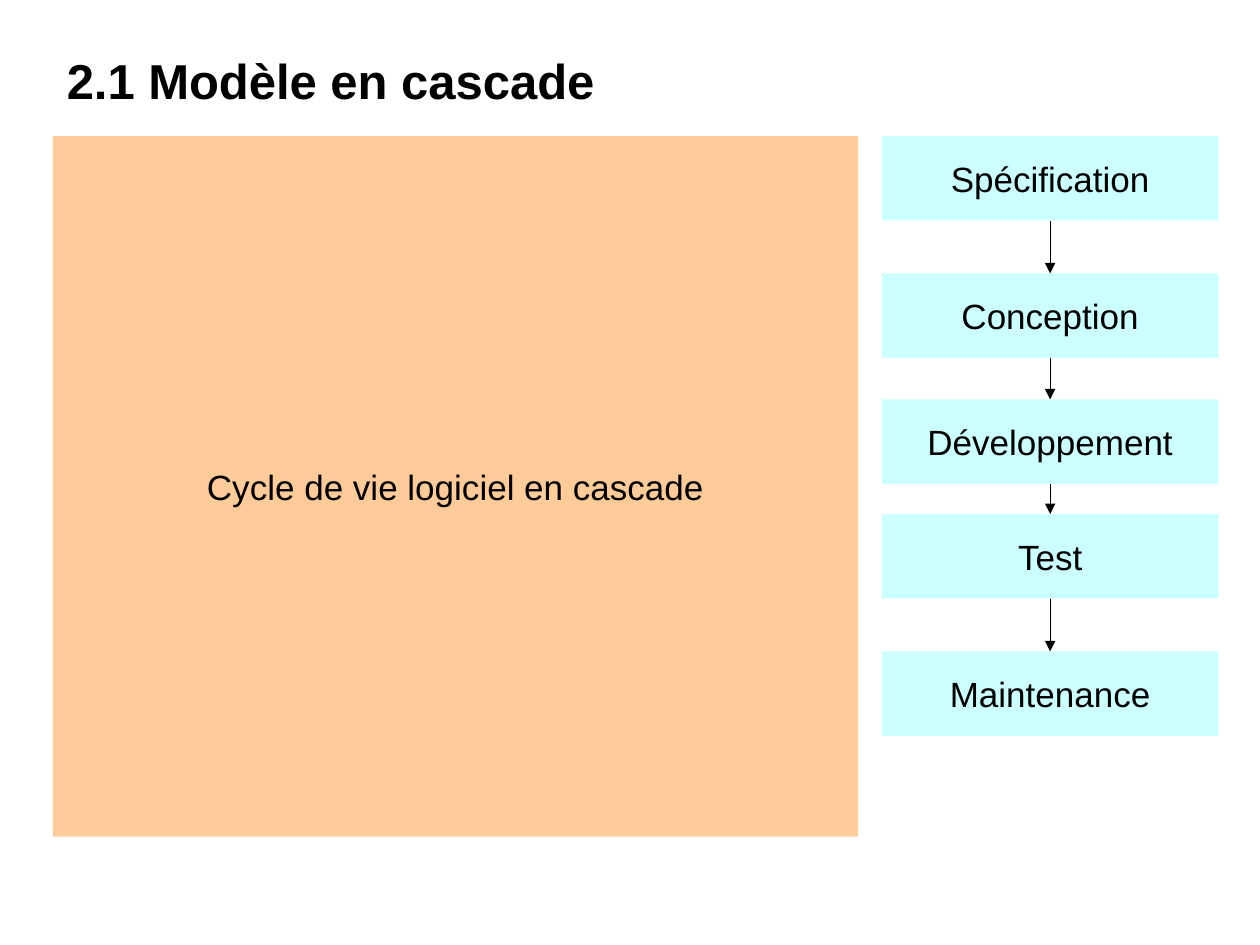
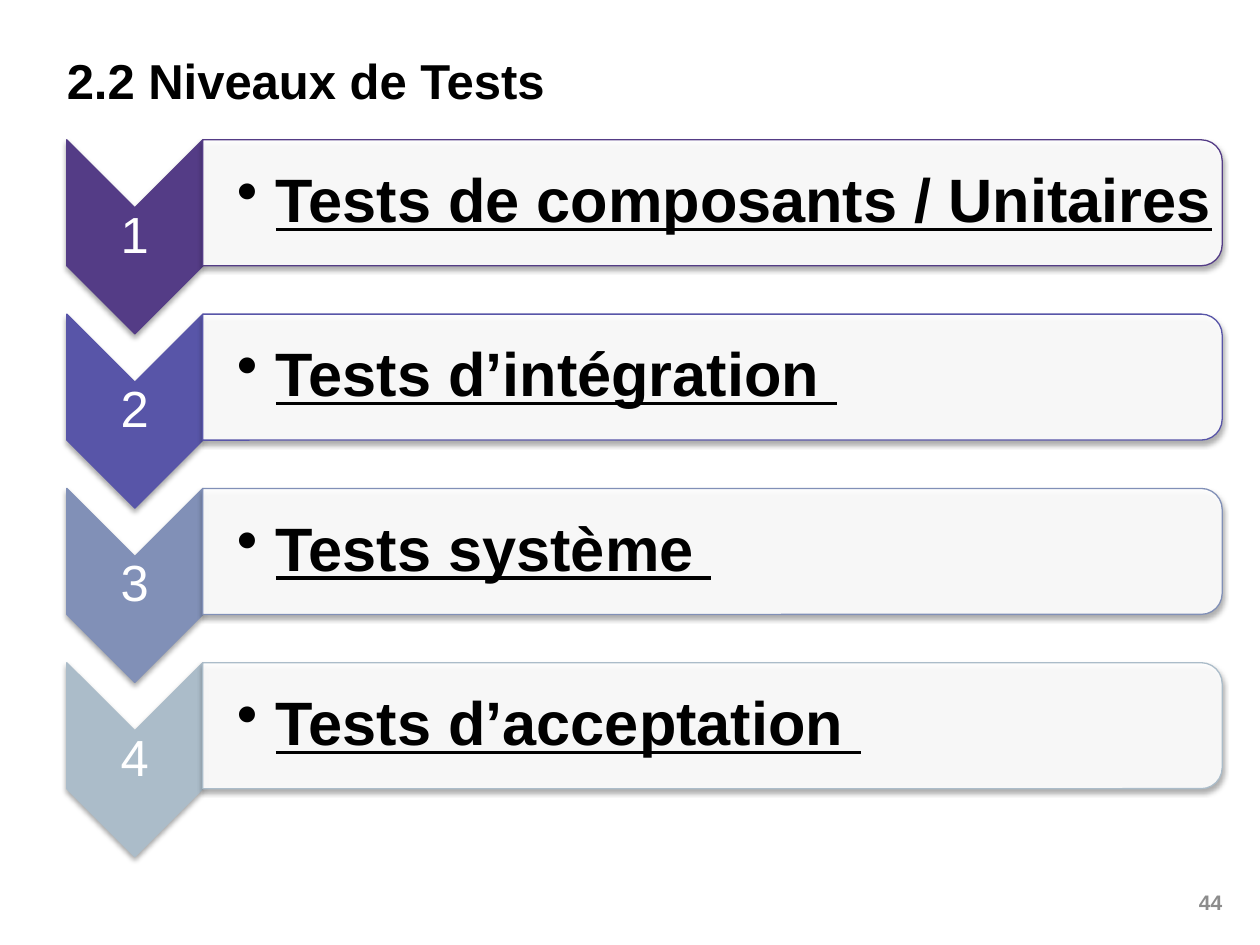
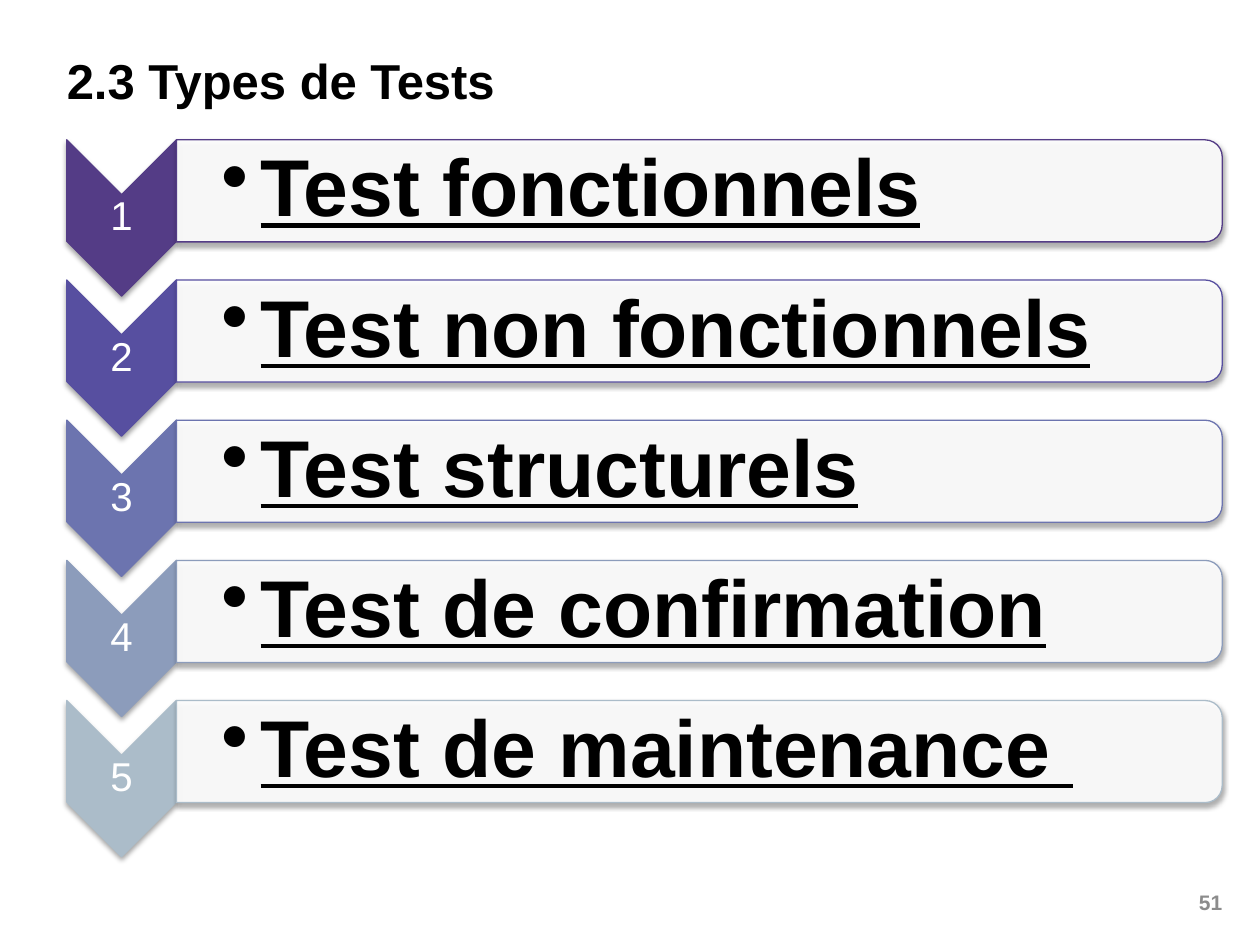
from lxml.etree import SubElement
from pptx import Presentation
from pptx.dml.color import RGBColor
from pptx.enum.shapes import MSO_CONNECTOR as Connector, MSO_SHAPE as Preset
from pptx.enum.text import MSO_ANCHOR as Anchor, PP_ALIGN as Align
from pptx.oxml.ns import qn
from pptx.util import Inches, Pt

FONT = "Arial"
TITLE_ONLY = 5
COLORS = {
    "black": "000000",
    "white": "FFFFFF",
    "gray": "8C8C8C",
    "step": "CCFFFF",
    "cycle": "FFCC99",
    "plum": "543C86",
    "violet": "5855A8",
    "indigo": "574FA0",
    "periwinkle": "6C74AF",
    "steel": "8190B7",
    "slate": "8C9CBB",
    "mist": "ABBCC9",
}

STEP_LEFT, STEP_WIDTH, STEP_HEIGHT = 7, 2.67, 0.67
STEPS = [
    ("Spécification", 1.08),
    ("Conception", 2.17),
    ("Développement", 3.17),
    ("Test", 4.08),
    ("Maintenance", 5.17),
]

LIST_LEFT, LIST_TOP, LIST_RIGHT, LIST_BOTTOM = 0.53, 1.11, 9.7, 6.8
LEVELS = [
    ("Tests de composants / Unitaires", "plum"),
    ("Tests d’intégration ", "violet"),
    ("Tests système ", "steel"),
    ("Tests d’acceptation ", "mist"),
]
TYPES = [
    ("Test fonctionnels", "plum"),
    ("Test non fonctionnels", "indigo"),
    ("Test structurels", "periwinkle"),
    ("Test de confirmation", "slate"),
    ("Test de maintenance ", "mist"),
]


def rgb(name):
    return RGBColor.from_string(COLORS[name])


def write(shape, text, size, color="black", align=Align.LEFT, anchor=Anchor.MIDDLE,
          bold=False, underline=False, spacing=0.9, margin=0):
    frame = shape.text_frame
    frame.text = text
    frame.word_wrap = True
    frame.vertical_anchor = anchor
    frame.margin_left = frame.margin_right = Inches(margin)
    frame.margin_top = frame.margin_bottom = Inches(margin)
    paragraph = frame.paragraphs[0]
    paragraph.alignment = align
    paragraph.line_spacing = spacing
    font = paragraph.runs[0].font
    font.name = FONT
    font.size = Pt(size)
    font.bold = bold
    font.underline = underline
    font.color.rgb = rgb(color)
    return frame


def add_text(slide, left, top, width, height, text, size, **style):
    box = slide.shapes.add_textbox(Inches(left), Inches(top), Inches(width), Inches(height))
    return write(box, text, size, **style)


def add_titled_slide(deck, heading):
    slide = deck.slides.add_slide(deck.slide_layouts[TITLE_ONLY])
    title = slide.shapes.title
    title.left, title.top = Inches(0.53), Inches(0.37)
    title.width, title.height = Inches(9.17), Inches(0.59)
    write(title, heading, 28, bold=True)
    return slide


def add_page_number(slide, number):
    add_text(slide, 9.31, 7.06, 0.39, 0.2, str(number), 12, color="gray",
             align=Align.RIGHT, anchor=Anchor.TOP, bold=True, spacing=1.0)


def add_block(slide, left, top, width, height, text, color):
    block = slide.shapes.add_shape(
        Preset.RECTANGLE, Inches(left), Inches(top), Inches(width), Inches(height))
    block.shadow.inherit = False
    block.fill.solid()
    block.fill.fore_color.rgb = rgb(color)
    block.line.fill.background()
    write(block, text, 20, align=Align.CENTER, spacing=1.0)


def add_down_arrow(slide, x, start, end):
    arrow = slide.shapes.add_connector(
        Connector.STRAIGHT, Inches(x), Inches(start), Inches(x), Inches(end))
    arrow.line.color.rgb = rgb("black")
    arrow.line.width = Pt(0.75)
    SubElement(arrow.line._get_or_add_ln(), qn("a:tailEnd"), type="triangle")
    SubElement(arrow._element.spPr, qn("a:effectLst"))


def add_upright(slide, preset, left, top, width, height, fill, line):
    turned_left = left + (width - height) / 2
    turned_top = top + (height - width) / 2
    shape = slide.shapes.add_shape(
        preset, Inches(turned_left), Inches(turned_top), Inches(height), Inches(width))
    shape.rotation = 90
    shape.fill.solid()
    shape.fill.fore_color.rgb = rgb(fill)
    shape.line.color.rgb = rgb(line)
    shape.line.width = Pt(0.75)
    add_soft_shadow(shape)
    return shape


def add_soft_shadow(shape):
    shape.shadow.inherit = False
    effects = shape._element.spPr.find(qn("a:effectLst"))
    shadow = SubElement(effects, qn("a:outerShdw"), blurRad=str(Pt(3.1)),
                        dist=str(Pt(1.8)), dir="5400000", rotWithShape="0")
    tint = SubElement(shadow, qn("a:srgbClr"), val=COLORS["black"])
    SubElement(tint, qn("a:alpha"), val="35000")


def set_opacity(shape, percent):
    tint = shape._element.spPr.find(qn("a:solidFill")).find(qn("a:srgbClr"))
    SubElement(tint, qn("a:alpha"), val=str(percent * 1000))


def add_bullet(paragraph, indent):
    properties = paragraph._p.get_or_add_pPr()
    properties.set("marL", str(Inches(indent)))
    properties.set("indent", str(-Inches(indent)))
    SubElement(properties, qn("a:buChar"), char="•")


def add_chevron_list(slide, items, chevron_width, chevron_height, bar_height,
                     number_size, label_size, label_margin):
    pitch = (LIST_BOTTOM - LIST_TOP - chevron_height) / (len(items) - 1)
    bar_left = LIST_LEFT + chevron_width
    bar_width = LIST_RIGHT - bar_left
    for index, (label, color) in enumerate(items):
        top = LIST_TOP + index * pitch
        add_upright(slide, Preset.CHEVRON, LIST_LEFT, top,
                    chevron_width, chevron_height, color, color)
        add_text(slide, LIST_LEFT, top + chevron_width / 2, chevron_width,
                 chevron_height - chevron_width, str(index + 1), number_size,
                 color="white", align=Align.CENTER, margin=0.02)
        bar = add_upright(slide, Preset.ROUND_2_SAME_RECTANGLE, bar_left, top,
                          bar_width, bar_height, "white", color)
        set_opacity(bar, 90)
        frame = add_text(slide, bar_left, top, bar_width, bar_height, label,
                         label_size, bold=True, underline=True, margin=0.02)
        frame.margin_left = Inches(label_margin)
        add_bullet(frame.paragraphs[0], 0.31)


def add_cascade(slide):
    center = STEP_LEFT + STEP_WIDTH / 2
    for name, top in STEPS:
        add_block(slide, STEP_LEFT, top, STEP_WIDTH, STEP_HEIGHT, name, "step")
    for (_, top), (_, next_top) in zip(STEPS, STEPS[1:]):
        add_down_arrow(slide, center, top + STEP_HEIGHT, next_top)
    add_block(slide, 0.42, 1.08, 6.39, 5.56, "Cycle de vie logiciel en cascade", "cycle")


def main():
    deck = Presentation()
    deck.slide_width, deck.slide_height = Inches(10), Inches(7.5)

    add_cascade(add_titled_slide(deck, "2.1 Modèle en cascade"))

    levels = add_titled_slide(deck, "2.2 Niveaux de Tests")
    add_chevron_list(levels, LEVELS, 1.08, 1.54, 1, 29, 35, 0.27)
    add_page_number(levels, 44)

    types = add_titled_slide(deck, "2.3 Types de Tests")
    add_chevron_list(types, TYPES, 0.87, 1.24, 0.81, 23, 46, 0.36)
    add_page_number(types, 51)

    deck.save("out.pptx")


if __name__ == "__main__":
    main()
